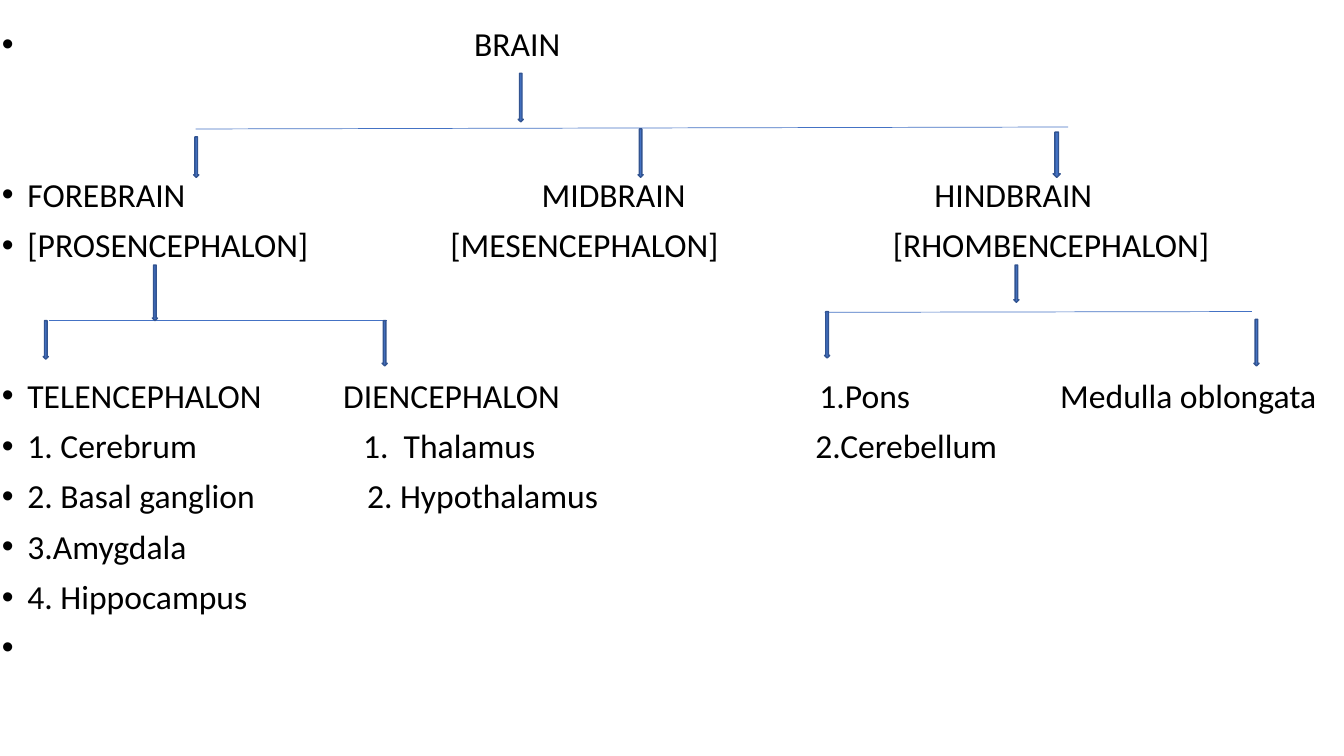
from lxml import etree
from pptx import Presentation
from pptx.dml.color import RGBColor
from pptx.enum.shapes import MSO_CONNECTOR as CONNECTOR, MSO_SHAPE as SHAPE
from pptx.enum.text import MSO_ANCHOR as ANCHOR, MSO_AUTO_SIZE as AUTO_SIZE, PP_ALIGN as ALIGN
from pptx.oxml.ns import qn
from pptx.util import Cm, Pt

COLORS = {"text": "000000", "arrow": "4472C4", "arrow_edge": "325491"}
FONT = "Calibri"
TEXT_TOP = 0.69
ROW_PITCH = 1.267
SPACE = 10
# Space above the first row of a level that sits two rows further down
LEVEL_SPACE = SPACE + 2 * 35.9

# Text, distance of the text from its bullet (cm), space above (pt)
OUTLINE = [
    ("BRAIN", 11.9, 0),
    ("FOREBRAIN", 0.64, LEVEL_SPACE),
    ("[PROSENCEPHALON]", 0.64, SPACE),
    ("TELENCEPHALON", 0.64, LEVEL_SPACE),
    ("1. Cerebrum", 0.64, SPACE),
    ("2. Basal ganglion", 0.64, SPACE),
    ("3.Amygdala", 0.64, SPACE),
    ("4. Hippocampus", 0.64, SPACE),
    (" ", 0.64, SPACE),
]

# Left edge, row number, width, lines with their indents (cm)
COLUMNS = [
    (11.35, 3, 8, [("MIDBRAIN", 2.3), ("[MESENCEPHALON]", 0)]),
    (22.5, 3, 9, [("HINDBRAIN", 1.05), ("[RHOMBENCEPHALON]", 0)]),
    (8.65, 7, 8, [("DIENCEPHALON", 0), ("1.  Thalamus", 0.5), ("2. Hypothalamus", 0.6)]),
    (20.55, 7, 6, [("1.Pons", 0.1), ("2.Cerebellum", 0)]),
    (26.72, 7, 7, [("Medulla oblongata", 0)]),
]

# Box of the crossbar (left, top, width, fall), then the arrows measured
# from its left end: offset, drop, length, thickness
BRANCHES = [
    ((4.93, 3.25, 21.99, -0.05),
     [(8.13, -1.4, 1.22, 0.13), (-0.05, 0.2, 1.02, 0.13),
      (11.15, 0, 1.22, 0.13), (21.61, 0.08, 1.14, 0.18)]),
    ((1.24, 8.08, 8.51, 0),
     [(2.6, -1.4, 1.4, 0.13), (-0.15, 0, 0.97, 0.13), (8.39, 0, 1.14, 0.13)]),
    ((20.78, 7.87, 10.77, -0.02),
     [(4.77, -1.19, 0.94, 0.13), (0, -0.02, 1.17, 0.13), (10.82, 0.18, 1.17, 0.13)]),
]


def rgb(name):
    return RGBColor.from_string(COLORS[name])


def prepare_frame(frame, wrap):
    frame.margin_left = frame.margin_right = frame.margin_top = frame.margin_bottom = 0
    frame.word_wrap = wrap
    frame.auto_size = AUTO_SIZE.NONE
    frame.vertical_anchor = ANCHOR.TOP


def write_line(frame, text, first=False, indent=0, bullet=False, space=SPACE, size=24):
    line = frame.paragraphs[0] if first else frame.add_paragraph()
    properties = line._p.get_or_add_pPr()
    properties.set("marL", str(Cm(indent)))
    properties.set("indent", str(-Cm(indent) if bullet else 0))
    if bullet:
        etree.SubElement(properties, qn("a:buFont")).set("typeface", "Arial")
        etree.SubElement(properties, qn("a:buChar")).set("char", "•")
    line.alignment = ALIGN.LEFT
    line.line_spacing = 0.9
    line.space_before = Pt(0 if first else space)
    run = line.add_run()
    run.text = text
    run.font.name = FONT
    run.font.size = Pt(size)
    run.font.color.rgb = rgb("text")


def add_outline(body, left, top, width, height):
    body.left, body.top, body.width, body.height = map(Cm, (left, top, width, height))
    prepare_frame(body.text_frame, wrap=True)
    for number, (text, indent, space) in enumerate(OUTLINE):
        write_line(body.text_frame, text, first=number == 0, indent=indent,
                   bullet=True, space=space)


def add_column(slide, left, row, width, lines):
    top = TEXT_TOP + row * ROW_PITCH
    column = slide.shapes.add_textbox(Cm(left), Cm(top), Cm(width), Cm(len(lines) * ROW_PITCH))
    prepare_frame(column.text_frame, wrap=False)
    for number, (text, indent) in enumerate(lines):
        write_line(column.text_frame, text, first=number == 0, indent=indent)


def add_arrow(slide, left, top, height, width):
    arrow = slide.shapes.add_shape(SHAPE.DOWN_ARROW, Cm(left), Cm(top), Cm(width), Cm(height))
    arrow.shadow.inherit = False
    arrow.fill.solid()
    arrow.fill.fore_color.rgb = rgb("arrow")
    arrow.line.color.rgb = rgb("arrow_edge")
    arrow.line.width = Pt(1)


def add_branch(slide, box, arrows):
    """Draw a crossbar with the arrow into it and those leaving it."""
    left, top, width, fall = box
    crossbar = slide.shapes.add_connector(
        CONNECTOR.STRAIGHT, Cm(left), Cm(top), Cm(left + width), Cm(top + fall))
    crossbar.line.color.rgb = rgb("arrow")
    crossbar.line.width = Pt(0.5)
    etree.SubElement(crossbar._element.spPr, qn("a:effectLst"))
    for offset, drop, length, thickness in arrows:
        add_arrow(slide, left + offset, top + drop, length, thickness)


def main():
    deck = Presentation()
    deck.slide_width, deck.slide_height = Cm(33.87), Cm(19.05)
    slide = deck.slides.add_slide(deck.slide_layouts[1])
    title = slide.shapes.title._element
    title.getparent().remove(title)
    add_outline(slide.placeholders[1], 0.05, TEXT_TOP, 33.6, 16.3)
    for column in COLUMNS:
        add_column(slide, *column)
    for box, arrows in BRANCHES:
        add_branch(slide, box, arrows)
    deck.save("out.pptx")


if __name__ == "__main__":
    main()
